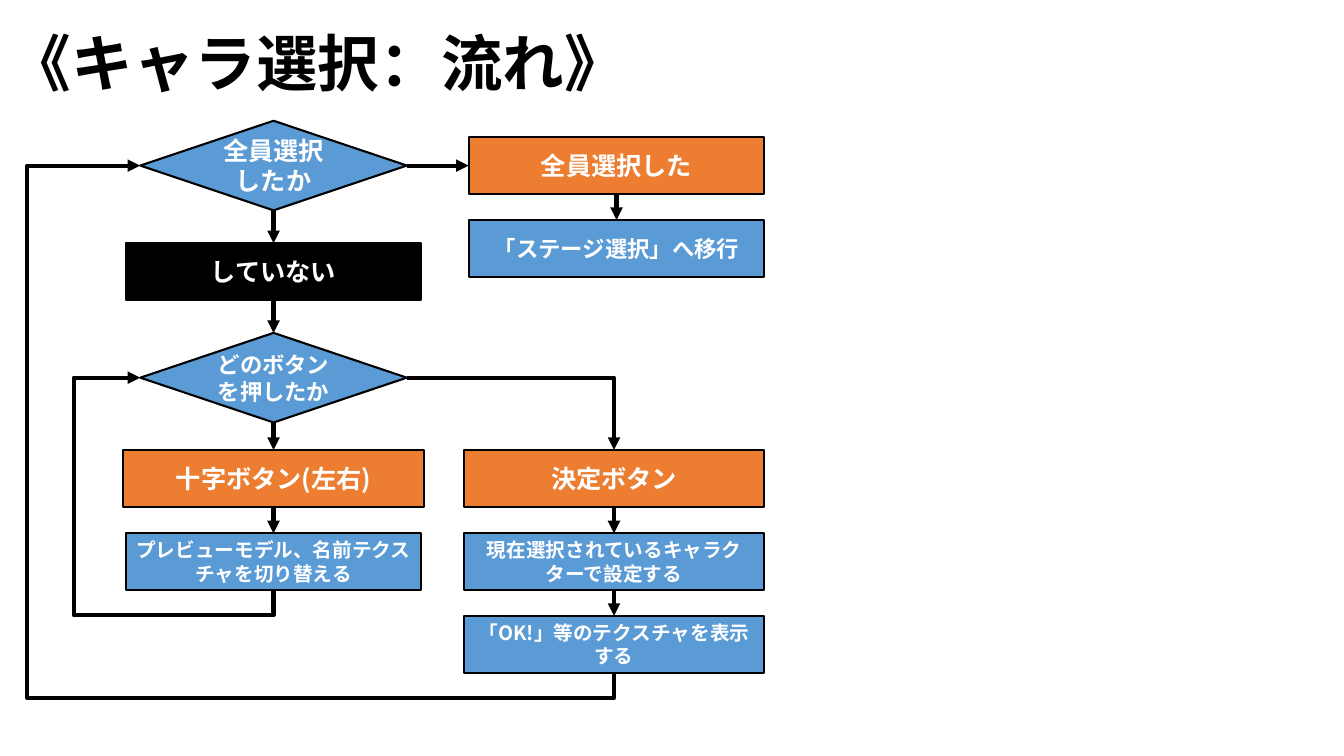
from dataclasses import dataclass

from lxml.etree import SubElement
from pptx import Presentation
from pptx.dml.color import RGBColor
from pptx.enum.shapes import MSO_CONNECTOR, MSO_SHAPE as SHAPE
from pptx.enum.text import MSO_AUTO_SIZE, PP_ALIGN
from pptx.oxml.ns import qn
from pptx.util import Pt


@dataclass(frozen=True)
class Theme:
    font: str = "Noto Sans CJK JP"
    black: RGBColor = RGBColor(0x00, 0x00, 0x00)
    white: RGBColor = RGBColor(0xFF, 0xFF, 0xFF)
    blue: RGBColor = RGBColor(0x5B, 0x9B, 0xD5)
    orange: RGBColor = RGBColor(0xED, 0x7D, 0x31)
    title: int = 44
    large: int = 18
    medium: int = 16
    small: int = 14
    outline: float = 1.5
    arrow: float = 3


theme = Theme()


def write(frame, text, size, color):
    """Fill the frame with one bold paragraph, in the theme font for both scripts."""
    paragraph = frame.paragraphs[0]
    paragraph.text = text
    font = paragraph.font
    font.size, font.bold, font.name = Pt(size), True, theme.font
    font.color.rgb = color
    defaults = paragraph._p.find(".//" + qn("a:defRPr"))
    SubElement(defaults, qn("a:ea"), typeface=theme.font)
    return paragraph


def style_arrow(arrow):
    arrow.line.color.rgb = theme.black
    arrow.line.width = Pt(theme.arrow)
    SubElement(arrow.line._get_or_add_ln(), qn("a:tailEnd"), type="triangle")


deck = Presentation()
deck.slide_width, deck.slide_height = Pt(960), Pt(540)
slide = deck.slides.add_slide(deck.slide_layouts[6])
shapes = slide.shapes

title = shapes.add_textbox(Pt(0), Pt(14.4), Pt(458.6), Pt(60.5)).text_frame
title.word_wrap = False
title.auto_size = MSO_AUTO_SIZE.SHAPE_TO_FIT_TEXT
write(title, "《キャラ選択：流れ》", theme.title, theme.black)

# Column centres and block sizes
LEFT, RIGHT, RIGHT_TOP = 195.4, 438.6, 440.4
DECISION = (SHAPE.FLOWCHART_DECISION, 190.4, 64)
NARROW = (SHAPE.FLOWCHART_PROCESS, 211.2, 40.6)
WIDE = (SHAPE.FLOWCHART_PROCESS, 214.8, 40.6)

# key: block, centre x, top, fill, type size, text
steps = {
    "all chosen?": (DECISION, LEFT, 86.3, theme.blue, theme.large, "全員選択したか"),
    "all chosen": (NARROW, RIGHT_TOP, 98, theme.orange, theme.large, "全員選択した"),
    "to stage": (NARROW, RIGHT_TOP, 157.2, theme.blue, theme.medium, "「ステージ選択」へ移行"),
    "not yet": (NARROW, LEFT, 173.8, theme.black, theme.large, "していない"),
    "which button?": (DECISION, LEFT, 237.8, theme.blue, theme.medium, "どのボタンを押したか"),
    "cross": (WIDE, LEFT, 321.4, theme.orange, theme.large, "十字ボタン(左右)"),
    "switch": (NARROW, LEFT, 381, theme.blue, theme.small,
               "プレビューモデル、名前テクスチャを切り替える"),
    "confirm": (WIDE, RIGHT, 321.4, theme.orange, theme.large, "決定ボタン"),
    "set character": (WIDE, RIGHT, 381, theme.blue, theme.small,
                      "現在選択されているキャラクターで設定する"),
    "show OK": (WIDE, RIGHT, 440, theme.blue, theme.small,
                "「OK!」等のテクスチャを表示する"),
}
blocks = {}
for key, ((kind, width, height), center, top, fill, size, text) in steps.items():
    block = shapes.add_shape(kind, Pt(center - width / 2), Pt(top), Pt(width), Pt(height))
    block.shadow.inherit = False
    block.fill.solid()
    block.fill.fore_color.rgb = fill
    block.line.color.rgb = theme.black
    block.line.width = Pt(theme.outline)
    write(block.text_frame, text, size, theme.white).alignment = PP_ALIGN.CENTER
    blocks[key] = block

TOP, WEST, BOTTOM, EAST = range(4)
links = [
    ("all chosen?", EAST, "all chosen", WEST),
    ("all chosen", BOTTOM, "to stage", TOP),
    ("all chosen?", BOTTOM, "not yet", TOP),
    ("not yet", BOTTOM, "which button?", TOP),
    ("which button?", BOTTOM, "cross", TOP),
    ("cross", BOTTOM, "switch", TOP),
    ("confirm", BOTTOM, "set character", TOP),
    ("set character", BOTTOM, "show OK", TOP),
]
for source, exit_side, target, entry_side in links:
    link = shapes.add_connector(MSO_CONNECTOR.STRAIGHT, 0, 0, 0, 0)
    link.begin_connect(blocks[source], exit_side)
    link.end_connect(blocks[target], entry_side)
    style_arrow(link)
    SubElement(link._element.spPr, qn("a:effectLst"))

DECISION_WEST, DECISION_EAST = LEFT - 95.2, LEFT + 95.2
ALL_Y, BUTTON_Y = 118.3, 269.8
routes = [
    [(DECISION_EAST, BUTTON_Y), (RIGHT, BUTTON_Y), (RIGHT, 321.4)],
    [(LEFT, 421.6), (LEFT, 439.4), (52.6, 439.4), (52.6, BUTTON_Y), (DECISION_WEST, BUTTON_Y)],
    [(RIGHT, 480.6), (RIGHT, 498.4), (19.4, 498.4), (19.4, ALL_Y), (DECISION_WEST, ALL_Y)],
]
for route in routes:
    start, *corners = [(Pt(x), Pt(y)) for x, y in route]
    builder = shapes.build_freeform(*start)
    builder.add_line_segments(corners, close=False)
    bent_arrow = builder.convert_to_shape()
    bent_arrow.shadow.inherit = False
    bent_arrow.fill.background()
    style_arrow(bent_arrow)

deck.save("out.pptx")
